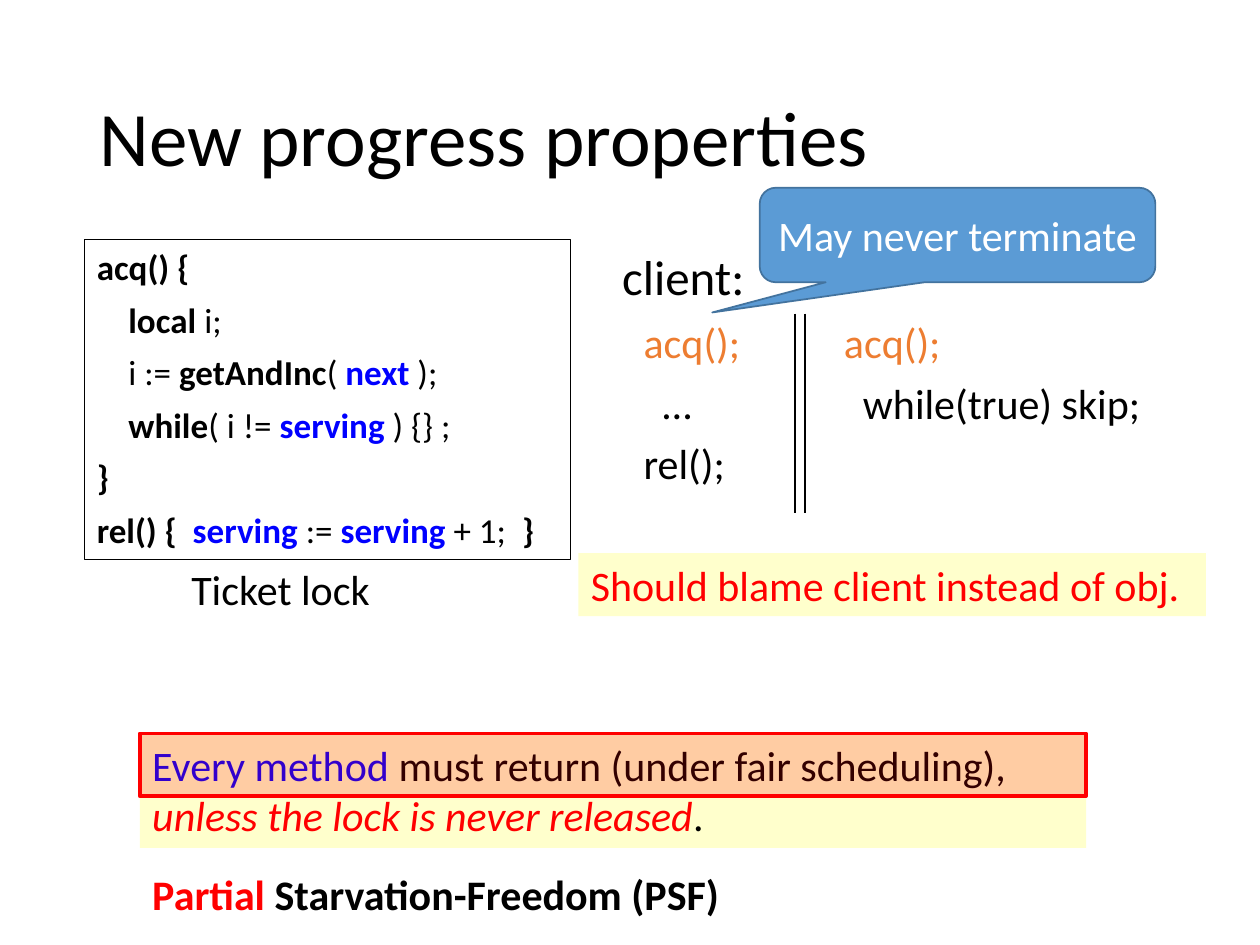
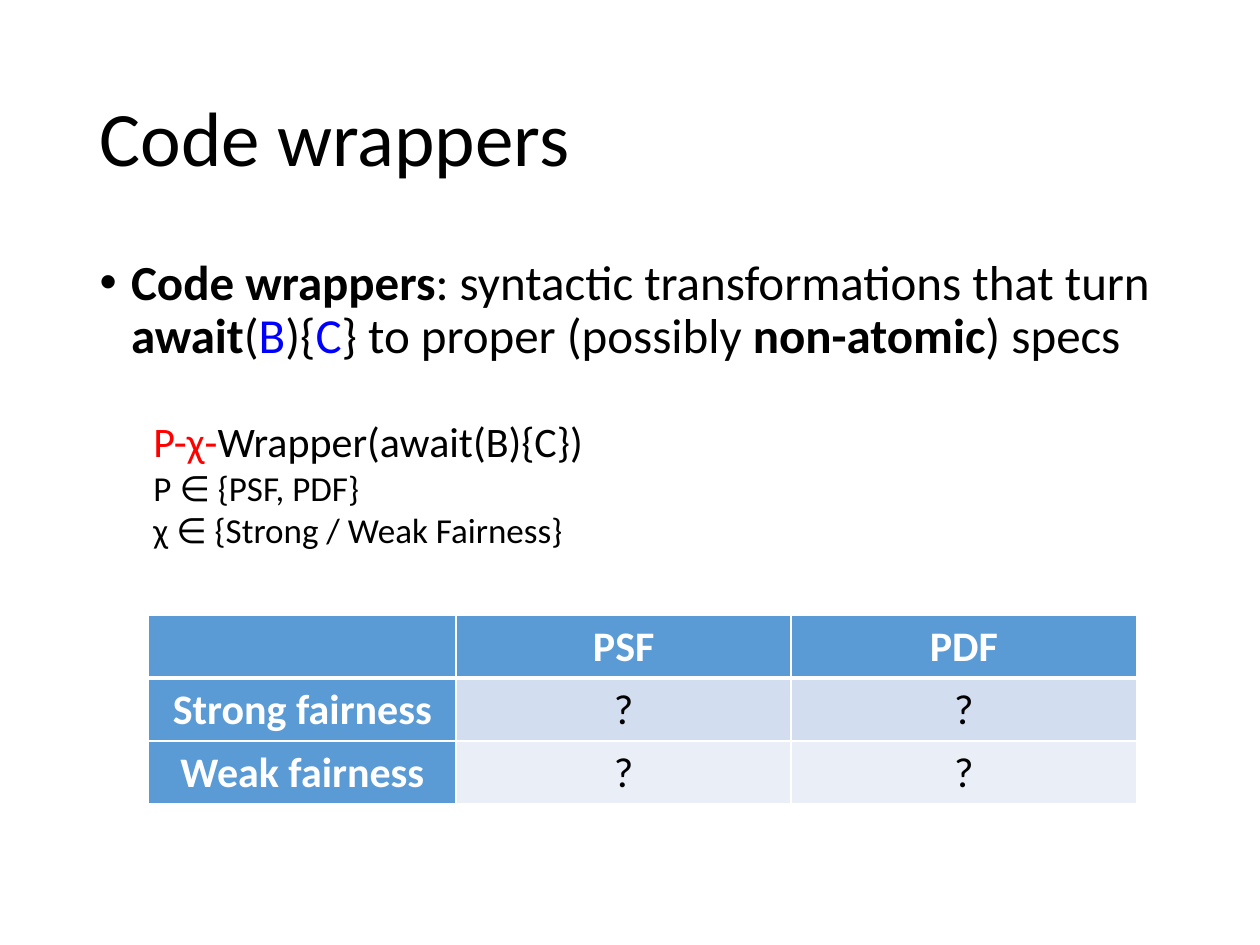
from dataclasses import dataclass
from typing import NamedTuple, Optional

from lxml import etree
from pptx import Presentation
from pptx import util as u
from pptx.dml.color import RGBColor
from pptx.enum import shapes, text
from pptx.oxml import ns

FONT = "Calibri"
BLACK, WHITE, RED, BLUE = "000000", "FFFFFF", "FF0000", "0000FF"
ORANGE, CREAM, STEEL, STEEL_EDGE = "ED7D31", "FFFFCC", "5B9BD5", "43739E"
BAND_ROWS = ("D2DEEF", "EAEFF7")
SHAPE, ALIGN, ANCHOR = shapes.MSO_SHAPE, text.PP_ALIGN, text.MSO_ANCHOR


class Span(NamedTuple):
    """A stretch of text with one format."""
    words: str
    color: str = BLACK
    bold: bool = False
    italic: bool = False
    size: Optional[float] = None


class Area(NamedTuple):
    """A rectangle in inches."""
    left: float
    top: float
    width: float
    height: float

    def lengths(self) -> list:
        """Return the four sides as lengths."""
        return [u.Inches(side) for side in self]


@dataclass
class Panel:
    """A preset shape or, without a kind, a text box."""
    area: Area
    lines: tuple = ()
    size: float = 24
    kind: Optional[int] = None
    fill: Optional[str] = None
    edge: Optional[str] = None
    edge_width: float = 0.75
    opacity: Optional[int] = None
    adjustments: tuple = ()
    wrap: bool = True
    gap: float = 0
    indent: float = 0
    align: int = ALIGN.LEFT
    anchor: int = ANCHOR.TOP


def rgb(color: str) -> RGBColor:
    """Turn a hex string into a colour."""
    return RGBColor.from_string(color)


def bold(words: str, color: str = BLACK) -> Span:
    """Return a bold span."""
    return Span(words, color, True)


def add_span(para, words: str, *, size: float, color: str = BLACK,
             bold: bool = False, italic: bool = False) -> None:
    """Add formatted text to a paragraph."""
    span = para.add_run()
    span.text = words
    font = span.font
    font.name, font.size, font.bold, font.italic = FONT, u.Pt(size), bold, italic
    font.color.rgb = rgb(color)


def write_lines(frame, lines: tuple, size: float, *, gap: float = 0, indent: float = 0,
                hanging: float = 0, align: int = ALIGN.LEFT, spacing: float = 1) -> None:
    """Fill a text frame with one paragraph for each tuple of spans."""
    for number, spans in enumerate(lines):
        para = frame.add_paragraph() if number else frame.paragraphs[0]
        properties = para._p.get_or_add_pPr()
        properties.set("marL", str(u.Inches(indent)))
        properties.set("indent", str(-u.Inches(hanging)))
        para.alignment, para.line_spacing = align, spacing
        para.space_before = u.Pt(gap if number else 0)
        for span in spans:
            add_span(para, span.words, size=span.size or size, color=span.color,
                     bold=span.bold, italic=span.italic)


def draw_panel(page, panel: Panel) -> None:
    """Draw a panel and its text."""
    if panel.kind is None:
        box = page.shapes.add_textbox(*panel.area.lengths())
    else:
        box = page.shapes.add_shape(panel.kind, *panel.area.lengths())
        box.shadow.inherit = False
        for number, value in enumerate(panel.adjustments):
            box.adjustments[number] = value
        if panel.edge:
            box.line.color.rgb = rgb(panel.edge)
            box.line.width = u.Pt(panel.edge_width)
        else:
            box.line.fill.background()
        if panel.fill:
            box.fill.solid()
            box.fill.fore_color.rgb = rgb(panel.fill)
        else:
            box.fill.background()
        if panel.opacity is not None:
            tint = box._element.spPr.find(ns.qn("a:solidFill"))[0]
            etree.SubElement(tint, ns.qn("a:alpha"), val=str(panel.opacity * 1000))
    frame = box.text_frame
    frame.word_wrap, frame.vertical_anchor = panel.wrap, panel.anchor
    write_lines(frame, panel.lines, panel.size, gap=panel.gap,
                indent=panel.indent, align=panel.align)


def draw_upright(page, x: float, top: float, bottom: float) -> None:
    """Draw a thin vertical line."""
    rule = page.shapes.add_connector(shapes.MSO_CONNECTOR.STRAIGHT, u.Inches(x),
                                     u.Inches(top), u.Inches(x), u.Inches(bottom))
    rule.line.color.rgb = rgb(BLACK)
    rule.line.width = u.Pt(0.75)
    etree.SubElement(rule._element.spPr, ns.qn("a:effectLst"))


def fill_placeholder(holder, area: Area, lines: tuple, size: float, *,
                     anchor: int, hanging: float = 0) -> None:
    """Move a placeholder and write its text."""
    holder.left, holder.top, holder.width, holder.height = area.lengths()
    frame = holder.text_frame
    frame.auto_size, frame.vertical_anchor = text.MSO_AUTO_SIZE.NONE, anchor
    write_lines(frame, lines, size, indent=hanging, hanging=hanging, spacing=0.9)


def add_page(deck, layout: int, title: str):
    """Add a slide with the shared title style."""
    page = deck.slides.add_slide(deck.slide_layouts[layout])
    fill_placeholder(page.shapes.title, Area(0.69, 0.4, 8.62, 1.45),
                     ((Span(title),),), 44, anchor=ANCHOR.MIDDLE)
    return page


def format_cell(cell, words: str, fill: str, *, heading: bool, bottom: float) -> None:
    """Write, fill and frame a table cell."""
    properties = cell._tc.get_or_add_tcPr()
    for side, width in (("L", 1), ("R", 1), ("T", 1), ("B", bottom)):
        edge = etree.SubElement(properties, ns.qn(f"a:ln{side}"), w=str(u.Pt(width)))
        paint = etree.SubElement(edge, ns.qn("a:solidFill"))
        etree.SubElement(paint, ns.qn("a:srgbClr"), val=WHITE)
    cell.fill.solid()
    cell.fill.fore_color.rgb = rgb(fill)
    cell.vertical_anchor = ANCHOR.MIDDLE
    if words:
        span = Span(words, WHITE if heading else BLACK, heading)
        write_lines(cell.text_frame, ((span,),), 24, align=ALIGN.CENTER)


def draw_fairness_table(page) -> None:
    """Draw the table of fairness against progress."""
    rows = (("", "PSF", "PDF"), ("Strong fairness", "?", "?"), ("Weak fairness", "?", "?"))
    area = Area(1.18, 4.88, 7.84, 1.5)
    table = page.shapes.add_table(len(rows), len(rows[0]), *area.lengths()).table
    table.horz_banding = False
    for column, width in zip(table.columns, (2.44, 2.66, 2.74)):
        column.width = u.Inches(width)
    for r, row in enumerate(rows):
        for c, words in enumerate(row):
            heading = r == 0 or c == 0
            format_cell(table.cell(r, c), words, STEEL if heading else BAND_ROWS[r - 1],
                        heading=heading, bottom=1 if r else 3)


def build_progress(deck) -> None:
    """Build the slide on progress properties."""
    page = add_page(deck, 5, "New progress properties")
    ticket_lock = (
        (bold("acq() {"),),
        (bold("    local "), Span("i;")),
        (Span("    i := "), bold("getAndInc"), Span("( "), bold("next", BLUE), Span(" );")),
        (bold("    while"), Span("( i != "), bold("serving ", BLUE), Span(") {} ;")),
        (bold("}"),),
        (bold("rel() {"), bold("  serving ", BLUE), Span(":= "), bold("serving", BLUE),
         Span(" + 1;  "), bold("}")),
    )
    definition = (Span("Every method ", BLUE), Span("must return (under fair scheduling), "),
                  Span("unless the lock is never released", RED, italic=True), Span("."))
    left_thread = ((Span("acq();", ORANGE),), (Span("  …"),), (Span("rel();"),))
    right_thread = ((Span("acq();", ORANGE),), (Span("  while(true) skip;"),))
    panels = (
        Panel(Area(1.42, 4.42, 1.63, 0.5), ((Span("Ticket lock"),),), wrap=False),
        Panel(Area(0.67, 1.9, 3.86, 2.54), ticket_lock, 20, SHAPE.RECTANGLE,
              edge=BLACK, gap=6),
        Panel(Area(1.11, 5.82, 7.51, 0.91), (definition,), kind=SHAPE.RECTANGLE, fill=CREAM),
        Panel(Area(1.11, 6.84, 4.72, 0.5),
              ((bold("Partial", RED), bold(" Starvation-Freedom (PSF)")),)),
        Panel(Area(1.11, 5.82, 7.51, 0.5), kind=SHAPE.RECTANGLE, fill=RED, opacity=20,
              edge=RED, edge_width=2),
        Panel(Area(4.98, 2.46, 1.01, 1.48), left_thread, wrap=False, gap=6, indent=0.03),
        Panel(Area(6.57, 2.46, 2.6, 0.99), right_thread, wrap=False, gap=6, indent=0.03),
        Panel(Area(6.03, 1.49, 3.14, 0.75), ((Span("May never terminate", WHITE),),),
              kind=SHAPE.ROUNDED_RECTANGULAR_CALLOUT, fill=STEEL, edge=STEEL_EDGE,
              edge_width=1, adjustments=(-0.62, 0.82, 0.17), align=ALIGN.CENTER,
              anchor=ANCHOR.MIDDLE),
        Panel(Area(4.59, 4.39, 4.98, 0.5),
              ((Span("Should blame client instead of obj.", RED),),),
              kind=SHAPE.RECTANGLE, fill=CREAM),
        Panel(Area(4.84, 1.91, 1.27, 0.57), ((Span("client:"),),), 28, wrap=False),
    )
    for panel in panels:
        draw_panel(page, panel)
    for x in (6.31, 6.39):
        draw_upright(page, x, 2.49, 4.07)


def build_wrappers(deck) -> None:
    """Build the slide on code wrappers."""
    page = add_page(deck, 1, "Code wrappers")
    summary = (bold("Code wrappers"), Span(": syntactic transformations that turn "),
               bold("await"), Span("("), Span("B", BLUE), Span("){"), Span("C", BLUE),
               Span("} to proper (possibly "), bold("non-atomic"), Span(") specs"))
    fill_placeholder(page.placeholders[1], Area(0.69, 2, 8.62, 4.76), (summary,), 28,
                     anchor=ANCHOR.TOP, hanging=0.25)
    draw_panel(page, Panel(Area(1.12, 3.25, 3.74, 1.18), (
        (Span("P-χ-", RED, size=24), Span("Wrapper(await(B){C})", size=24)),
        (Span("P ∈ {PSF, PDF}"),),
        (Span("χ ∈ {Strong / Weak Fairness}"),),
    ), 20))
    draw_fairness_table(page)


def main() -> None:
    """Build and save the deck."""
    deck = Presentation()
    deck.slide_width, deck.slide_height = u.Inches(10), u.Inches(7.5)
    build_progress(deck)
    build_wrappers(deck)
    deck.save("out.pptx")


if __name__ == "__main__":
    main()
